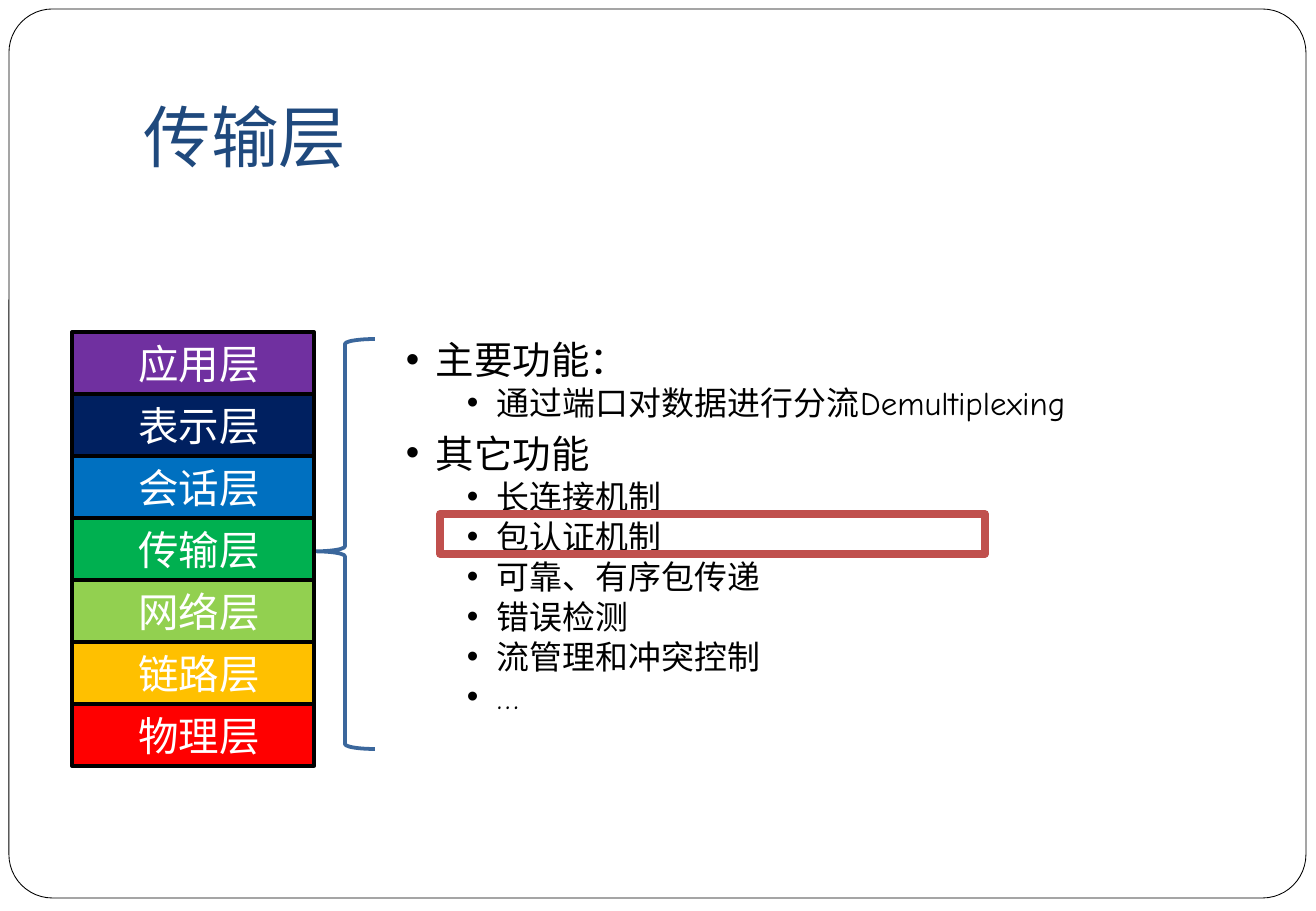
"""Build the transport layer slide with its seven-layer stack and function list."""
import pptx
import pptx.dml.color
import pptx.enum.shapes
import pptx.enum.text
import pptx.oxml.ns
import pptx.util
import lxml.etree

PX = 914400 / 121.5
SHAPE = pptx.enum.shapes.MSO_SHAPE
ANCHOR = pptx.enum.text.MSO_ANCHOR
COLORS = {
    "white": "FFFFFF", "black": "000000", "title": "1F497D",
    "brace": "3B679C", "highlight": "C0504D",
    "应用层": "7030A0", "表示层": "002060", "会话层": "0070C0", "传输层": "00B050",
    "网络层": "92D050", "链路层": "FFC000", "物理层": "FF0000",
}
FUNCTIONS = [
    (0, "主要功能："),
    (1, "通过端口对数据进行分流Demultiplexing"),
    (0, "其它功能"),
    (1, "长连接机制"),
    (1, "包认证机制"),
    (1, "可靠、有序包传递"),
    (1, "错误检测"),
    (1, "流管理和冲突控制"),
    (1, "…"),
]
LEVELS = [
    {"size": 22.8, "before": 10, "margin": 30},
    {"size": 19.5, "before": 5, "margin": 91},
]


def add_box(kind, box, fill, line, width, adjustments=()):
    shape = slide.shapes.add_shape(kind, *[round(value * PX) for value in box])
    shape.shadow.inherit = False
    if fill:
        shape.fill.solid()
        shape.fill.fore_color.rgb = pptx.dml.color.RGBColor.from_string(COLORS[fill])
    else:
        shape.fill.background()
    shape.line.color.rgb = pptx.dml.color.RGBColor.from_string(COLORS[line])
    shape.line.width = pptx.util.Pt(width)
    for index, value in enumerate(adjustments):
        shape.adjustments[index] = value
    return shape


def write(paragraph, text, font, size, color):
    run = paragraph.add_run()
    run.text = text
    for name, value in {"name": font, "size": pptx.util.Pt(size)}.items():
        setattr(run.font, name, value)
    run.font.color.rgb = pptx.dml.color.RGBColor.from_string(COLORS[color])


presentation = pptx.Presentation()
presentation.slide_width = round(1316 * PX)
presentation.slide_height = round(911 * PX)
slide = presentation.slides.add_slide(presentation.slide_layouts[6])

add_box(SHAPE.ROUNDED_RECTANGLE, (9, 9, 1297, 889), "white", "black", 0.5, [0.049])

title = slide.shapes.add_textbox(*[round(value * PX) for value in (132, 36, 1119, 152)])
title_format = {"word_wrap": True, "vertical_anchor": ANCHOR.BOTTOM,
                "margin_bottom": round(12 * PX)}
for name, value in title_format.items():
    setattr(title.text_frame, name, value)
write(title.text_frame.paragraphs[0], "传输层", "Comic Neue", 40, "title")

body = slide.shapes.add_textbox(*[round(value * PX) for value in (394, 339, 770, 411)])
body.text_frame.word_wrap = True
for index, (level, text) in enumerate(FUNCTIONS):
    paragraph = body.text_frame.add_paragraph() if index else body.text_frame.paragraphs[0]
    style = LEVELS[level]
    paragraph_format = {"level": level, "line_spacing": 0.8,
                        "space_before": pptx.util.Pt(style["before"])}
    for name, value in paragraph_format.items():
        setattr(paragraph, name, value)
    properties = paragraph._p.get_or_add_pPr()
    properties.set("marL", str(round(style["margin"] * PX)))
    properties.set("indent", str(round(-30 * PX)))
    for tag, name, value in (("a:buFont", "typeface", "Arial"), ("a:buChar", "char", "•")):
        lxml.etree.SubElement(properties, pptx.oxml.ns.qn(tag)).set(name, value)
    write(paragraph, text, "Comic Neue", style["size"], "black")

add_box(SHAPE.LEFT_BRACE, (315, 339, 60, 410), None, "brace", 2.25, [0.083, 0.518])
highlight = add_box(SHAPE.RECTANGLE, (440, 514, 545, 40), None, "highlight", 4.5)
lxml.etree.SubElement(highlight.line._get_or_add_ln(), pptx.oxml.ns.qn("a:round"))

layers = ["应用层", "表示层", "会话层", "传输层", "网络层", "链路层", "物理层"]
layer_format = {"vertical_anchor": ANCHOR.MIDDLE, "word_wrap": True,
                "margin_left": round(10 * PX), "margin_right": round(10 * PX),
                "margin_top": round(5 * PX), "margin_bottom": round(5 * PX)}
for row, layer in enumerate(layers):
    shape = add_box(SHAPE.RECTANGLE, (72, 332 + 62 * row, 242, 62), layer, "black", 2.25)
    for name, value in layer_format.items():
        setattr(shape.text_frame, name, value)
    paragraph = shape.text_frame.paragraphs[0]
    paragraph.alignment = pptx.enum.text.PP_ALIGN.CENTER
    paragraph._p.get_or_add_pPr().set("marL", str(round(12 * PX)))
    write(paragraph, layer, "Noto Sans CJK SC", 24, "white")

presentation.save("out.pptx")
